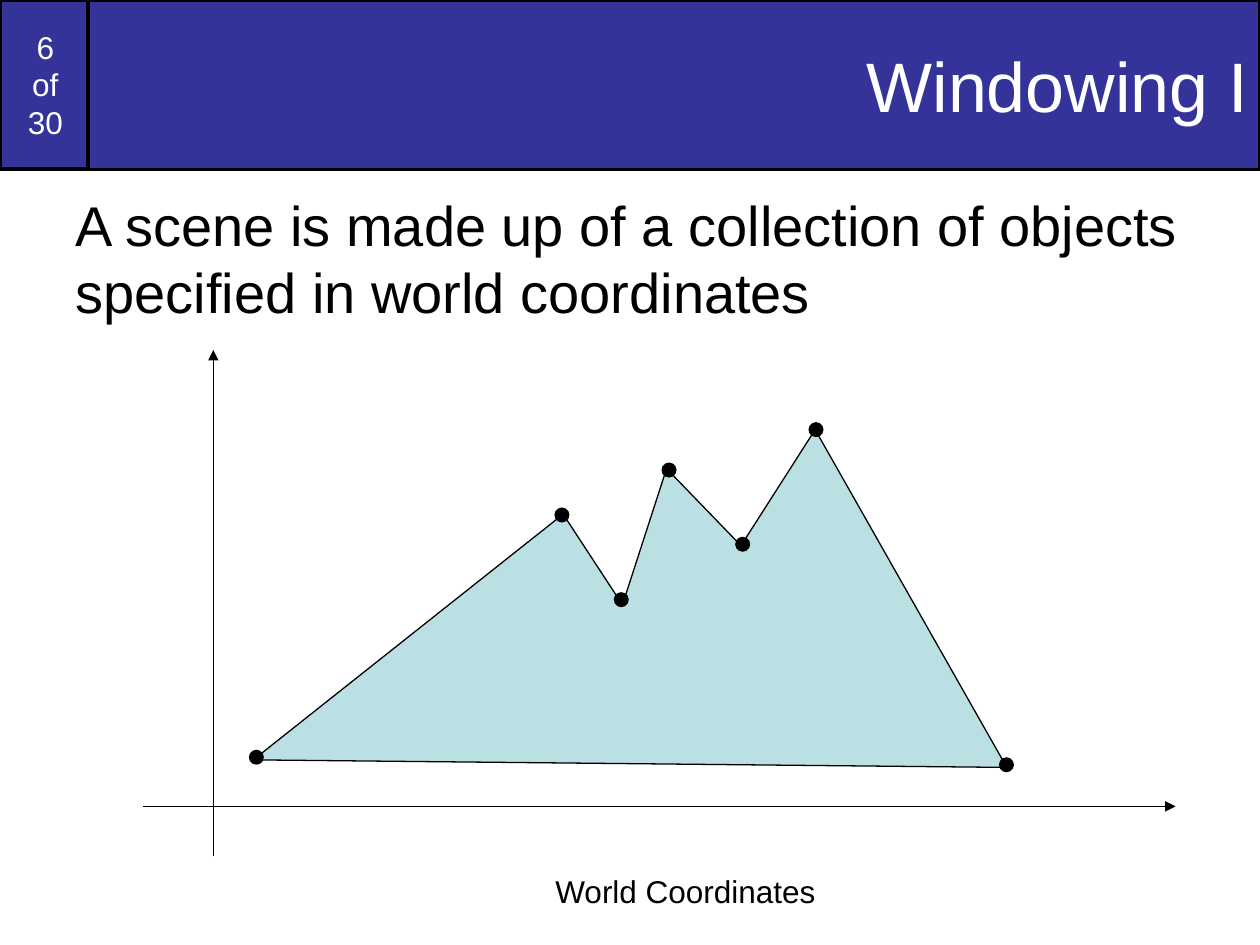
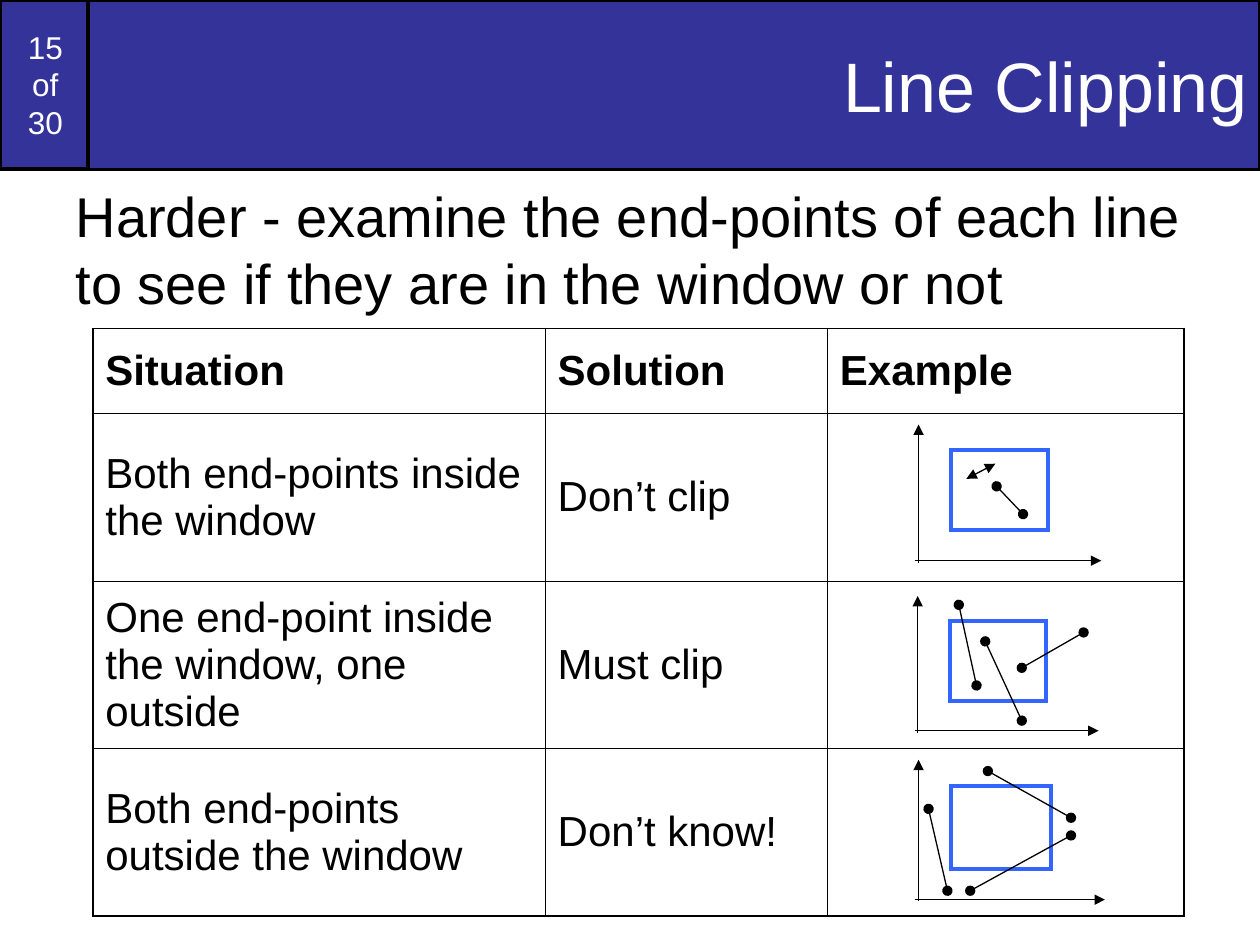
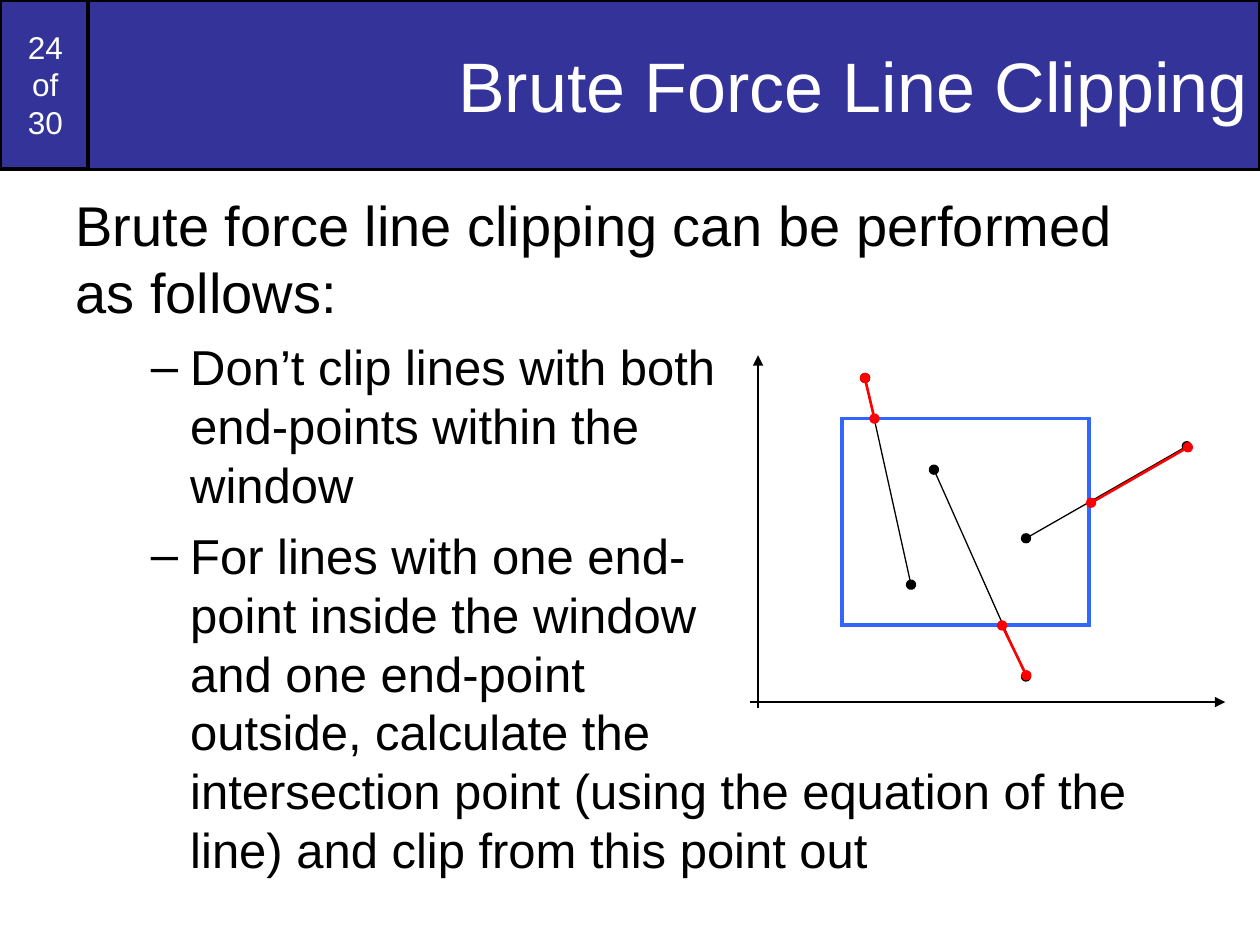
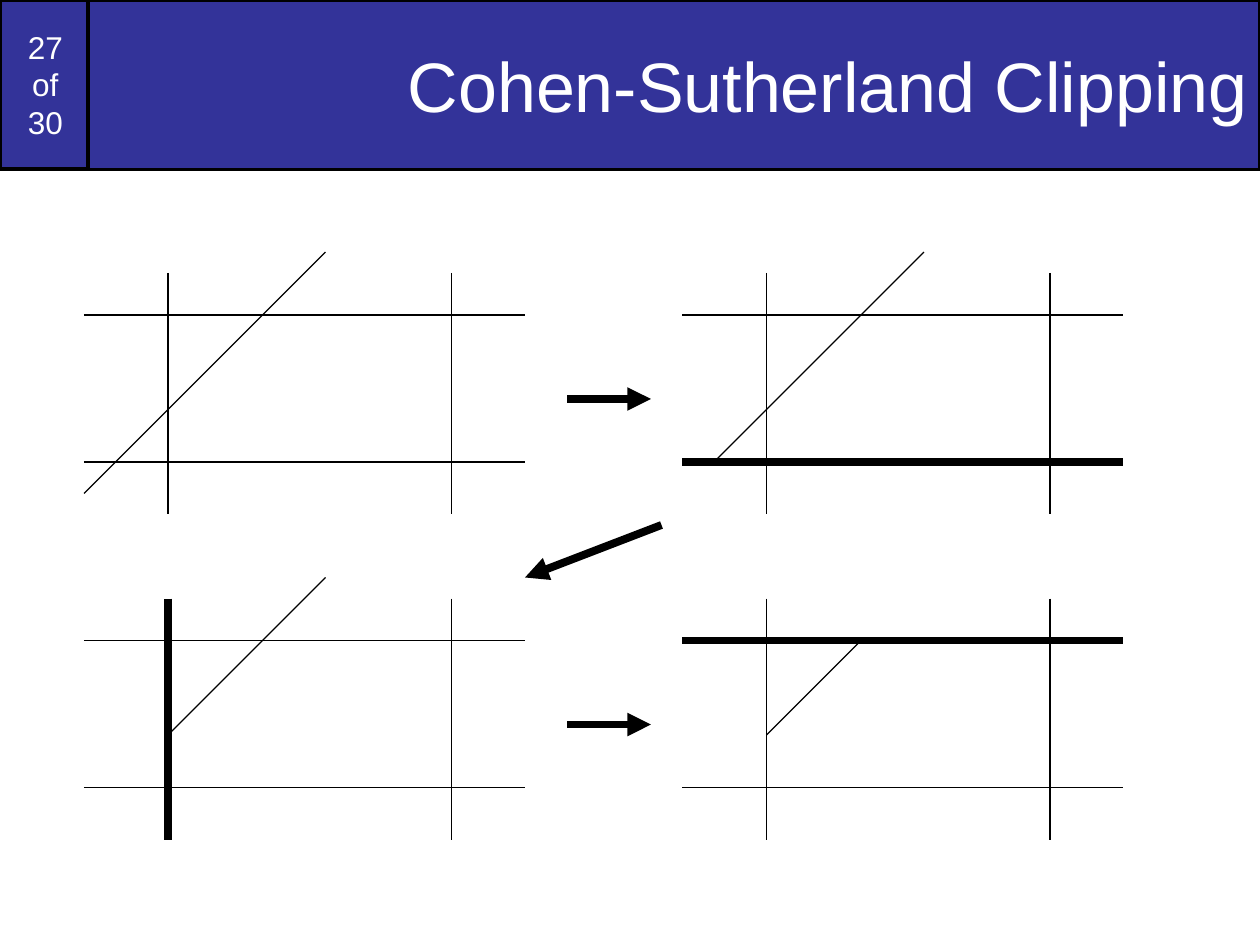
from lxml import etree
from pptx import Presentation
from pptx.dml.color import RGBColor
from pptx.enum.shapes import MSO_CONNECTOR, MSO_SHAPE
from pptx.enum.text import MSO_ANCHOR, MSO_AUTO_SIZE, PP_ALIGN
from pptx.oxml.ns import qn
from pptx.util import Pt

STRAIGHT = MSO_CONNECTOR.STRAIGHT
RECTANGLE, OVAL = MSO_SHAPE.RECTANGLE, MSO_SHAPE.OVAL
MIDDLE, TOP = MSO_ANCHOR.MIDDLE, MSO_ANCHOR.TOP
LEFT, CENTER, RIGHT = PP_ALIGN.LEFT, PP_ALIGN.CENTER, PP_ALIGN.RIGHT
NO_AUTOFIT = MSO_AUTO_SIZE.NONE

COLORS = {
    "band": "333399",
    "ink": "000000",
    "paper": "FFFFFF",
    "scene": "BBE0E3",
    "window": "3366FF",
    "clipped": "FF0000",
}
FONT = "Arial"
SLIDE_COUNT = 30
THIN, BAND_LINE, WINDOW_LINE, CLIPPED_LINE, THICK = 0.75, 2, 2.25, 1.5, 4.5
TITLE_LAYOUT, BODY_LAYOUT = 5, 1


def rgb(color):
    return RGBColor.from_string(COLORS[color])


def points(*lengths):
    return [Pt(length) for length in lengths]


def write(paragraph, text, size=18, color="ink", bold=False, align=LEFT,
          space_before=0):
    """Fill a paragraph; each newline becomes a line break."""
    paragraph.text = text
    paragraph.alignment = align
    paragraph.space_before = Pt(space_before)
    for run in paragraph.runs:
        run.font.name = FONT
        run.font.size = Pt(size)
        run.font.bold = bold
        run.font.color.rgb = rgb(color)


def set_bullet(paragraph, char=None, margin=0, hanging=0):
    properties = paragraph._p.get_or_add_pPr()
    properties.set("marL", str(Pt(margin)))
    properties.set("indent", str(-Pt(hanging)))
    if char:
        etree.SubElement(properties, qn("a:buChar"), char=char)
    else:
        etree.SubElement(properties, qn("a:buNone"))


def paint(shape, fill=None, line=None, width=THIN):
    shape.shadow.inherit = False
    if fill:
        shape.fill.solid()
        shape.fill.fore_color.rgb = rgb(fill)
    else:
        shape.fill.background()
    if line:
        shape.line.color.rgb = rgb(line)
        shape.line.width = Pt(width)
        etree.SubElement(shape.line._get_or_add_ln(), qn("a:miter"), lim="800000")
    else:
        shape.line.fill.background()


def place(shape, left, top, width, height):
    shape.left, shape.top, shape.width, shape.height = points(left, top, width, height)


def add_line(shapes, start, end, color="ink", width=THIN, head=None, tail=None):
    connector = shapes.add_connector(STRAIGHT, *points(*start, *end))
    connector.line.color.rgb = rgb(color)
    connector.line.width = Pt(width)
    outline = connector.line._get_or_add_ln()
    for tag, marker in (("a:headEnd", head), ("a:tailEnd", tail)):
        if marker:
            etree.SubElement(outline, qn(tag), type=marker)
    etree.SubElement(connector._element.spPr, qn("a:effectLst"))


def add_axes(shapes, x_start, x_end, x_axis_y, y_axis_x, y_start, y_end):
    add_line(shapes, (x_start, x_axis_y), (x_end, x_axis_y), tail="triangle")
    add_line(shapes, (y_axis_x, y_start), (y_axis_x, y_end), tail="triangle")


def add_segments(shapes, segments, **style):
    for start, end in segments:
        add_line(shapes, start, end, head="oval", tail="oval", **style)


def add_clipping_diagram(slide, axes, window, segments):
    """Group the axes, the clip window and the line segments."""
    shapes = slide.shapes.add_group_shape().shapes
    add_axes(shapes, *axes)
    paint(shapes.add_shape(RECTANGLE, *points(*window)),
          line="window", width=WINDOW_LINE)
    add_segments(shapes, segments)
    return shapes


def add_slide(deck, number, title, layout=BODY_LAYOUT):
    slide = deck.slides.add_slide(deck.slide_layouts[layout])
    band = slide.shapes.title
    place(band, 50.4, 0, 669.6, 96.9)
    counter = slide.shapes.add_shape(RECTANGLE, *points(0, 0, 51.8, 96.5))
    band._element.addprevious(counter._element)
    labels = (
        (band, title, 40, RIGHT),
        (counter, f"{number}\nof\n{SLIDE_COUNT}", 18, CENTER),
    )
    for shape, text, size, align in labels:
        paint(shape, "band", "ink", BAND_LINE)
        frame = shape.text_frame
        frame.auto_size = NO_AUTOFIT
        frame.vertical_anchor = MIDDLE
        write(frame.paragraphs[0], text, size=size, color="paper", align=align)
    return slide


def fill_body(slide, box, lead, items=()):
    body = slide.placeholders[1]
    place(body, *box)
    frame = body.text_frame
    frame.auto_size = NO_AUTOFIT
    frame.vertical_anchor = TOP
    set_bullet(frame.paragraphs[0])
    write(frame.paragraphs[0], lead, size=32)
    for item in items:
        paragraph = frame.add_paragraph()
        paragraph.level = 1
        set_bullet(paragraph, "–", margin=65.5, hanging=22.5)
        write(paragraph, item, size=28, space_before=7)


def set_borders(cell, outer_sides):
    properties = cell._tc.get_or_add_tcPr()
    for side in "LRTB":
        width = 1.08 if side in outer_sides else 0.45
        border = etree.SubElement(properties, qn(f"a:ln{side}"), w=str(Pt(width)))
        fill = etree.SubElement(border, qn("a:solidFill"))
        etree.SubElement(fill, qn("a:srgbClr"), val=COLORS["ink"])


def add_table(slide, left, top, widths, heights, rows):
    frame = slide.shapes.add_table(
        len(heights), len(widths),
        *points(left, top, sum(widths), sum(heights)))
    table = frame.table
    table.first_row = table.horz_banding = False
    for column, width in zip(table.columns, widths):
        column.width = Pt(width)
    for r, (height, texts) in enumerate(zip(heights, rows)):
        table.rows[r].height = Pt(height)
        for c, text in enumerate(texts):
            cell = table.cell(r, c)
            edges = {"L": c == 0, "R": c == len(widths) - 1,
                     "T": r == 0, "B": r == len(heights) - 1}
            set_borders(cell, [side for side, outer in edges.items() if outer])
            cell.fill.background()
            cell.vertical_anchor = MIDDLE
            if text:
                write(cell.text_frame.paragraphs[0], text, size=24, bold=r == 0)


def windowing(deck):
    slide = add_slide(deck, 6, "Windowing I")
    fill_body(slide, (36, 105, 648, 113.8),
              "A scene is made up of a collection of objects "
              "specified in world coordinates")

    caption = slide.shapes.add_textbox(*points(310.3, 494.6, 163.4, 28.8)).text_frame
    caption.word_wrap = False
    write(caption.paragraphs[0], "World Coordinates")

    outline = [points(*corner) for corner in (
        (144.7, 434.2), (321.8, 293.8), (355.7, 345.6), (380.9, 267.8),
        (423.4, 311.8), (465.8, 245.5), (575.3, 438.5))]
    builder = slide.shapes.build_freeform(*outline[0])
    builder.add_line_segments(outline[1:], close=True)
    paint(builder.convert_to_shape(), "scene", "ink")

    add_axes(slide.shapes, 82, 671.8, 460.8, 121.9, 489.4, 200)
    vertices = ((321.1, 294.3), (146.5, 432.7), (355, 342.7), (382.3, 268.6),
                (424.4, 311), (466.3, 245.5), (575.1, 437))
    diameter = 8.6
    for x, y in vertices:
        dot = slide.shapes.add_shape(
            OVAL, *points(x - diameter / 2, y - diameter / 2, diameter, diameter))
        paint(dot, "ink")


def line_clipping(deck):
    slide = add_slide(deck, 15, "Line Clipping")
    fill_body(slide, (36, 100, 653, 118.8),
              "Harder - examine the end-points of each line "
              "to see if they are in the window or not")
    add_table(slide, 53, 187.7, (258.5, 161.3, 203.8), (48.6, 95.7, 95.7, 95.7), (
        ("Situation", "Solution", "Example"),
        ("Both end-points inside the window", "Don’t clip", ""),
        ("One end-point inside the window, one outside", "Must clip", ""),
        ("Both end-points outside the window", "Don’t know!", ""),
    ))
    inside = add_clipping_diagram(
        slide, (522.7, 629.3, 320.4, 524.9, 321.8, 242.6),
        (543.6, 257, 55.4, 46.1),
        [((569.5, 277.9), (584.6, 293.8))])
    add_line(inside, (552.2, 273.6), (568.8, 265), head="triangle", tail="triangle")
    add_clipping_diagram(
        slide, (522.7, 627.8, 417.6, 524.4, 419, 340.6),
        (542.9, 355, 54.7, 45.4),
        [((583.9, 381.6), (619.2, 361.4)),
         ((563, 366.5), (583.9, 411.8)),
         ((547.9, 345.6), (558, 391.7))])
    add_clipping_diagram(
        slide, (522.7, 631.4, 514.1, 524.9, 514.8, 434.2),
        (543.6, 449.3, 56.9, 47.5),
        [((564.5, 440.6), (612, 467.3)),
         ((554.4, 509), (612, 477.4)),
         ((530.6, 462.2), (541.4, 509))])


def brute_force(deck):
    slide = add_slide(deck, 24, "Brute Force Line Clipping")
    fill_body(slide, (36, 105, 649.4, 434.9),
              "Brute force line clipping can be performed as follows:", (
                  "Don’t clip lines with both \nend-points within the \nwindow",
                  "For lines with one end-\npoint inside the window \n"
                  "and one end-point \noutside, calculate the \n"
                  "intersection point (using the equation of the line) "
                  "and clip from this point out",
              ))
    diagram = add_clipping_diagram(
        slide, (428.4, 700.2, 401.2, 433.2, 404.6, 203),
        (481.4, 239.2, 141.1, 118.1),
        [((586.3, 307.6), (678.2, 255)),
         ((533.7, 268.4), (586.3, 386.6)),
         ((494.4, 216), (520.6, 334.1))])
    add_segments(diagram, [
        ((623.5, 287.3), (678.8, 255.6)),
        ((499.7, 239.2), (494.2, 216)),
        ((572.6, 357.4), (586.5, 385.9)),
    ], color="clipped", width=CLIPPED_LINE)


def add_clip_step(slide, dx, dy, active_edge, first, last):
    """Draw the window edges and the part of the line that is still kept."""
    def shifted(x, y):
        return x + dx, y + dy

    edges = {
        "left": ((96, 156), (96, 294)),
        "right": ((258, 156), (258, 294)),
        "top": ((48, 180), (300, 180)),
        "bottom": ((48, 264), (300, 264)),
    }
    for name, (start, end) in edges.items():
        add_line(slide.shapes, shifted(*start), shifted(*end),
                 width=THICK if name == active_edge else THIN)
    crossings = ((48, 282), (66, 264), (96, 234), (150, 180), (186, 144))
    kept = crossings[first:last + 1]
    for start, end in zip(kept, kept[1:]):
        add_line(slide.shapes, shifted(*start), shifted(*end))


def cohen_sutherland(deck):
    slide = add_slide(deck, 27, "Cohen-Sutherland Clipping", TITLE_LAYOUT)
    steps = ((None, 0, 4), ("bottom", 1, 4), ("left", 2, 4), ("top", 2, 3))
    for index, (active_edge, first, last) in enumerate(steps):
        row, column = divmod(index, 2)
        add_clip_step(slide, column * 342, row * 186, active_edge, first, last)
    for start, end in (((324, 228), (372, 228)),
                       ((378, 300), (300, 330)),
                       ((324, 414), (372, 414))):
        add_line(slide.shapes, start, end, width=THICK, tail="triangle")


def main():
    deck = Presentation()
    deck.slide_width, deck.slide_height = points(720, 540)
    windowing(deck)
    line_clipping(deck)
    brute_force(deck)
    cohen_sutherland(deck)
    deck.save("out.pptx")


if __name__ == "__main__":
    main()
